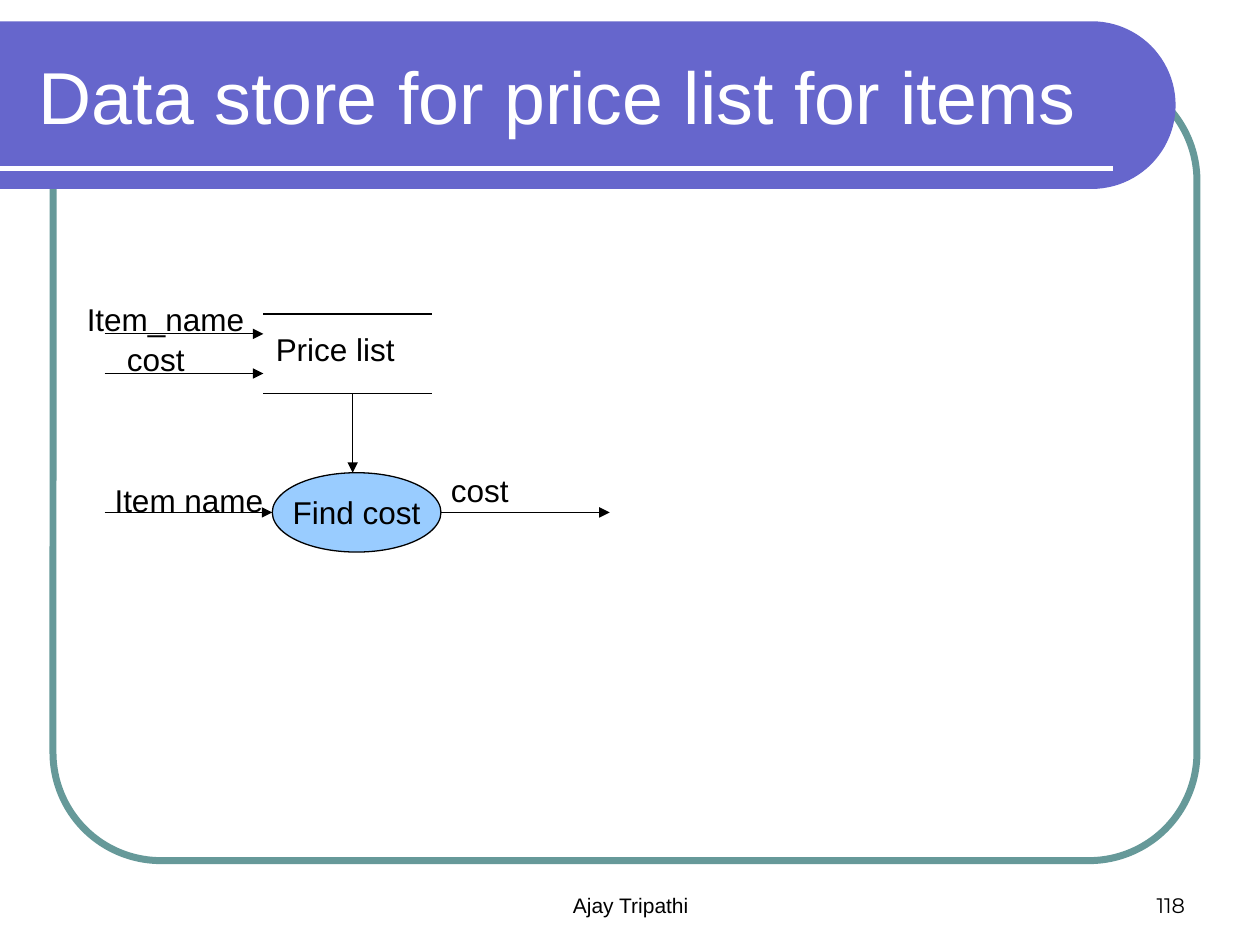
from dataclasses import dataclass
from math import cos, pi, sin

from lxml.etree import SubElement
from pptx import Presentation
from pptx.dml.color import RGBColor as RGB
from pptx.enum.shapes import MSO_CONNECTOR as CONN, MSO_SHAPE as SHAPE
from pptx.enum.text import MSO_ANCHOR as ANCHOR, MSO_AUTO_SIZE as FIT, PP_ALIGN as ALIGN
from pptx.oxml.ns import qn
from pptx.util import Cm, Pt


@dataclass(frozen=True)
class Theme:
    font: str = "Arial"
    number_font: str = "Montserrat"
    ink: RGB = RGB(0, 0, 0)
    white: RGB = RGB(255, 255, 255)
    band: RGB = RGB(0x66, 0x66, 0xCC)
    frame: RGB = RGB(0x66, 0x99, 0x99)
    process: RGB = RGB(0x99, 0xCC, 0xFF)
    title_size: float = 42
    label_size: float = 18
    footer_size: float = 12
    thin: float = 0.75
    rule: float = 3
    thick: float = 4


class SlideBuilder:
    """Draws the elements of one slide in a theme; lengths are in centimetres."""

    def __init__(self, slide, theme):
        self.slide, self.theme = slide, theme
        self.shapes = slide.shapes

    def set_text(self, sp, text, size, color=None, font=None, align=ALIGN.LEFT, **frame):
        tf = sp.text_frame
        for name, value in frame.items():
            setattr(tf, name, value)
        p = tf.paragraphs[0]
        p.alignment = align
        r = p.add_run()
        r.text = text
        style = {"name": font or self.theme.font, "size": Pt(size), "bold": False}
        for name, value in style.items():
            setattr(r.font, name, value)
        r.font.color.rgb = color or self.theme.ink

    def paint(self, sp, fill=None, line=None, width=0):
        sp.shadow.inherit = False
        if fill:
            sp.fill.solid()
            sp.fill.fore_color.rgb = fill
        else:
            sp.fill.background()
        if line:
            sp.line.color.rgb = line
            sp.line.width = Pt(width)
        else:
            sp.line.fill.background()

    def title(self, text, *box):
        sp = self.shapes.title
        for name, value in zip(("left", "top", "width", "height"), box):
            setattr(sp, name, Cm(value))
        self.set_text(sp, text, self.theme.title_size, self.theme.white,
                      vertical_anchor=ANCHOR.MIDDLE, word_wrap=True, auto_size=FIT.NONE)
        sp.element.getparent().append(sp.element)  # in front of the band

    def label(self, text, *box):
        sp = self.shapes.add_textbox(*map(Cm, box))
        self.set_text(sp, text, self.theme.label_size,
                      word_wrap=False, auto_size=FIT.SHAPE_TO_FIT_TEXT)

    def footer(self, text, *box, align, font=None):
        sp = self.shapes.add_textbox(*map(Cm, box))
        self.set_text(sp, text, self.theme.footer_size, font=font, align=align,
                      vertical_anchor=ANCHOR.BOTTOM, word_wrap=True)

    def frame(self, *box):
        sp = self.shapes.add_shape(SHAPE.ROUNDED_RECTANGLE, *map(Cm, box))
        sp.adjustments[0] = 0.137
        self.paint(sp, line=self.theme.frame, width=self.theme.thick)

    def band(self, top, width, height, steps=48):
        """Bar from the left slide edge, ending in a half circle."""
        radius = height / 2
        angles = [pi * i / steps - pi / 2 for i in range(steps + 1)]
        arc = [(Cm(width - radius + radius * cos(a)), Cm(top + radius + radius * sin(a)))
               for a in angles]
        fb = self.shapes.build_freeform(0, Cm(top))
        fb.add_line_segments(arc + [(0, Cm(top + height))], close=True)
        self.paint(fb.convert_to_shape(), fill=self.theme.band)

    def process(self, text, *box):
        sp = self.shapes.add_shape(SHAPE.OVAL, *map(Cm, box))
        self.paint(sp, self.theme.process, self.theme.ink, self.theme.thin)
        self.set_text(sp, text, self.theme.label_size, align=ALIGN.CENTER,
                      vertical_anchor=ANCHOR.MIDDLE, word_wrap=False)

    def line(self, x1, y1, x2, y2, color=None, width=None, arrow=False):
        cx = self.shapes.add_connector(CONN.STRAIGHT, Cm(x1), Cm(y1), Cm(x2), Cm(y2))
        cx.line.color.rgb = color or self.theme.ink
        cx.line.width = Pt(width or self.theme.thin)
        sp_pr = cx.element.spPr
        if arrow:
            SubElement(sp_pr.find(qn("a:ln")), qn("a:tailEnd"), type="triangle")
        SubElement(sp_pr, qn("a:effectLst"))


def main():
    prs = Presentation()
    prs.slide_width, prs.slide_height = Cm(25.4), Cm(19.05)
    theme = Theme()
    s = SlideBuilder(prs.slides.add_slide(prs.slide_layouts[5]), theme)

    s.frame(1.07, 1.47, 23.06, 15.88)
    s.band(0.43, 23.7, 3.38)
    s.line(0, 3.39, 22.44, 3.39, theme.white, theme.rule)
    s.title("Data store for price list for items", 0.53, 0.64, 22.28, 2.54)
    s.footer("Ajay Tripathi", 8.69, 17.35, 8.05, 1.27, align=ALIGN.CENTER)
    s.footer("118", 18.21, 17.35, 5.93, 1.27, align=ALIGN.RIGHT, font=theme.number_font)

    flow_x, store_x, node_w = 2.11, 5.31, 3.4
    store_top, store_bottom = 6.33, 7.93
    find_x, find_y, find_h = 5.49, 9.53, 1.6
    find_mid, find_right = find_y + find_h / 2, find_x + node_w

    for y in (store_top, store_bottom):
        s.line(store_x, y, store_x + node_w, y)
    s.process("Find cost", find_x, find_y, node_w, find_h)

    for flow in (
        (flow_x, 6.73, store_x, 6.73),
        (flow_x, 7.53, store_x, 7.53),
        (7.11, store_bottom, 7.11, find_y),
        (flow_x, find_mid, find_x, find_mid),
        (find_right, find_mid, find_right + node_w, find_mid),
    ):
        s.line(*flow, arrow=True)

    for text, x, y, w in (
        ("Price list", store_x, 6.53, 3.07),
        ("Item_name", 1.5, 5.92, 3.68),
        ("cost", 2.31, 6.73, 1.68),
        ("Item name", 2.06, 9.58, 3.51),
        ("cost", 8.84, 9.37, 1.68),
    ):
        s.label(text, x, y, w, 1.02)

    prs.save("out.pptx")


if __name__ == "__main__":
    main()
